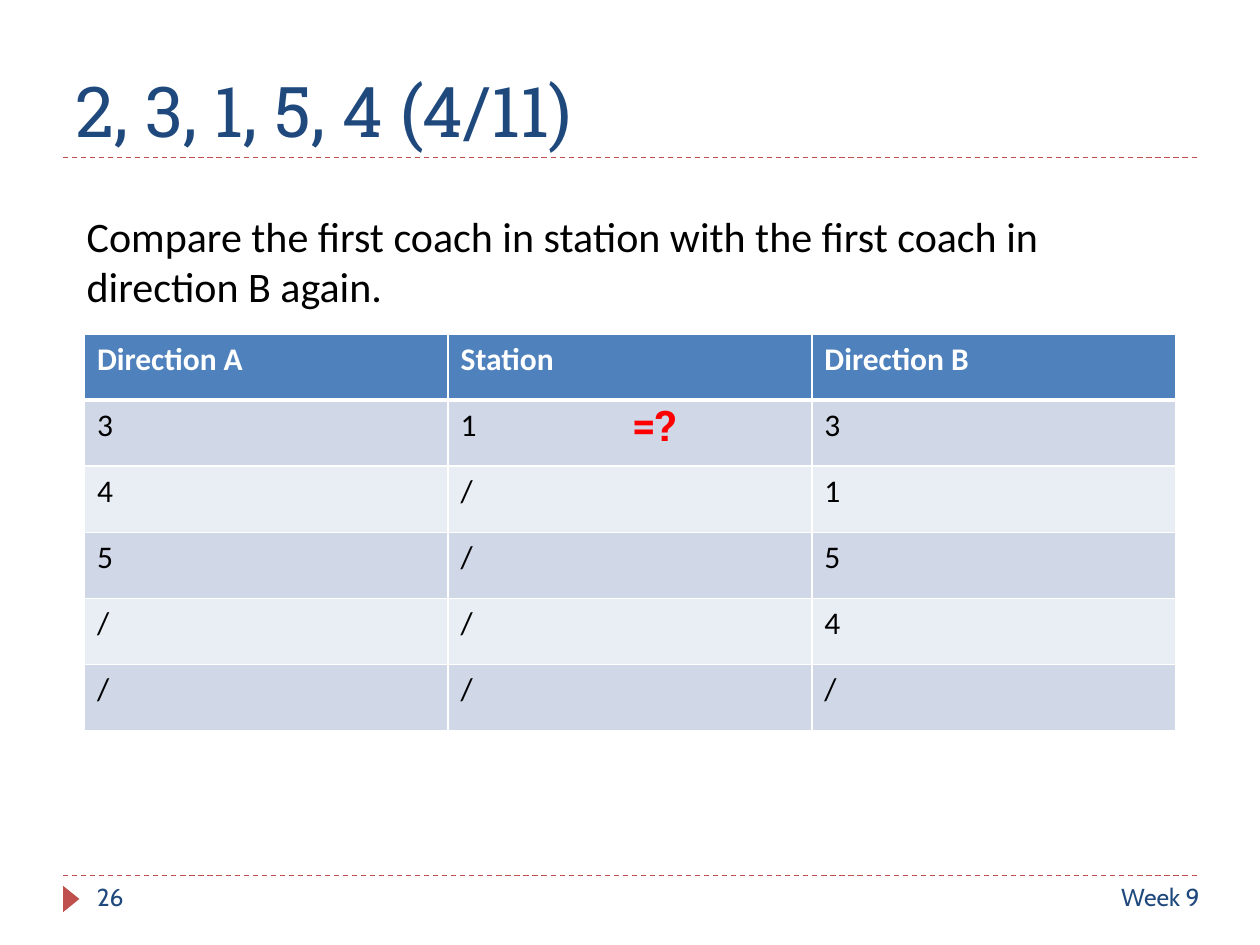
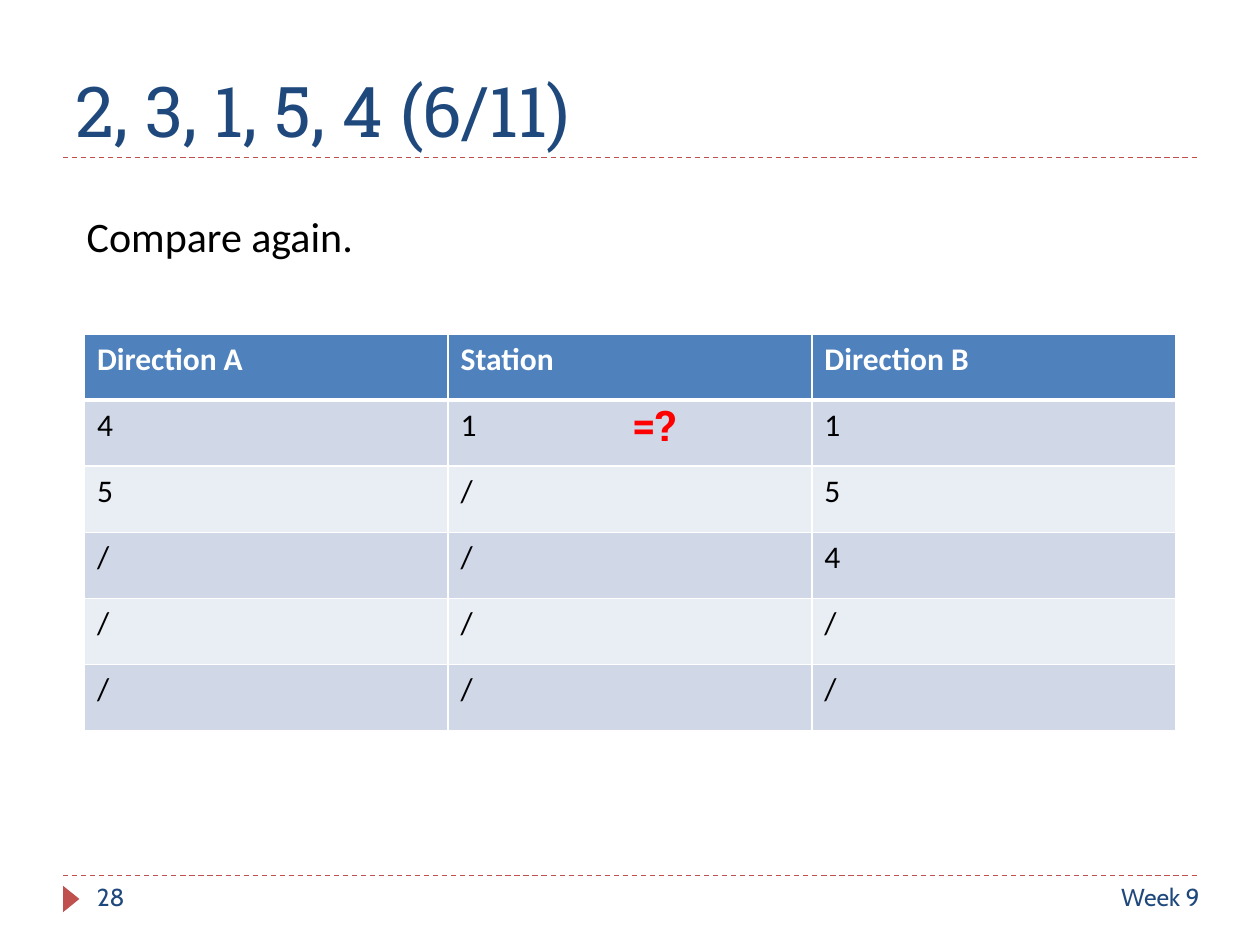
from dataclasses import dataclass

import pptx
import pptx.dml.color
import pptx.enum.dml
import pptx.enum.shapes
import pptx.enum.text
import pptx.oxml.ns
import pptx.util
from lxml import etree
from pptx.util import Inches

COLOURS = {
    "title": "1F497D", "accent": "C0504D", "header": "4F81BD",
    "odd": "D0D8E8", "even": "E9EDF4",
    "white": "FFFFFF", "ink": "000000", "question": "FF0000",
}
SLAB, SANS, FOOT = "Roboto Slab", "Calibri", "Cabin"
ALIGN = pptx.enum.text.PP_ALIGN
ANCHOR = pptx.enum.text.MSO_ANCHOR
HEADERS = ("Direction A", "Station", "Direction B")
TITLE_RULE_Y, FOOTER_RULE_Y = 1.25, 6.95


@dataclass
class Step:
    """One step of sorting the coaches; each row is A, station, B."""
    number: int
    page_number: int
    statement: list[str]
    statement_size: tuple[float, float]
    rows: list[str]


STEPS = [
    Step(4, 26,
         ["Compare the first coach in station with the first coach in",
          "direction B again."],
         (7.96, 1.31),
         ["3 1 3", "4 / 1", "5 / 5", "/ / 4", "/ / /"]),
    Step(6, 28, ["Compare again."], (2.33, 0.5),
         ["4 1 1", "5 / 5", "/ / 4", "/ / /", "/ / /"]),
]


def rgb(name: str):
    return pptx.dml.color.RGBColor.from_string(COLOURS[name])


def write(frame, *lines: str, font: str, size: float, colour: str,
          bold: bool = False, align=ALIGN.LEFT) -> None:
    """Fill a text frame with one paragraph per line."""
    for index, line in enumerate(lines):
        para = frame.paragraphs[0] if index == 0 else frame.add_paragraph()
        para.alignment = align
        span = para.add_run()
        span.text = line
        span.font.name = font
        span.font.size = pptx.util.Pt(size)
        span.font.bold = bold
        span.font.color.rgb = rgb(colour)


def add_text(page, *lines: str, left: float, top: float, width: float,
             height: float, wrap: bool = True, **text_format) -> None:
    box = page.shapes.add_textbox(Inches(left), Inches(top),
                                  Inches(width), Inches(height))
    box.text_frame.word_wrap = wrap
    write(box.text_frame, *lines, **text_format)


def add_rule(page, y: float) -> None:
    """Draw a dashed rule between the page margins."""
    rule = page.shapes.add_connector(
        pptx.enum.shapes.MSO_CONNECTOR.STRAIGHT,
        Inches(0.5), Inches(y), Inches(9.5), Inches(y))
    rule.line.color.rgb = rgb("accent")
    rule.line.width = pptx.util.Pt(0.75)
    rule.line.dash_style = pptx.enum.dml.MSO_LINE.DASH
    etree.SubElement(rule._element.spPr, pptx.oxml.ns.qn("a:effectLst"))


def add_frame(page, step: Step) -> None:
    """Add the title, rules and footer that every page shares."""
    add_rule(page, FOOTER_RULE_Y)
    add_rule(page, TITLE_RULE_Y)

    # Footer marker, turned to point right
    marker = page.shapes.add_shape(
        pptx.enum.shapes.MSO_SHAPE.ISOSCELES_TRIANGLE,
        Inches(0.46), Inches(7.07), Inches(0.21), Inches(0.13))
    marker.rotation = 90
    marker.shadow.inherit = False
    marker.fill.solid()
    marker.fill.fore_color.rgb = rgb("accent")
    marker.line.fill.background()

    # Title
    title = page.shapes.title
    title.left, title.top = Inches(0.5), Inches(0.17)
    title.width, title.height = Inches(9), Inches(1.08)
    title.text_frame.auto_size = pptx.enum.text.MSO_AUTO_SIZE.NONE
    title.text_frame.vertical_anchor = ANCHOR.BOTTOM
    write(title.text_frame, f"2, 3, 1, 5, 4 ({step.number}/11)",
          font=SLAB, size=40, colour="title")

    # Footer texts
    footer = dict(top=FOOTER_RULE_Y, height=0.4, font=FOOT, size=14,
                  colour="title")
    add_text(page, str(step.page_number), left=0.67, width=2.17, **footer)
    add_text(page, "Week 9", left=5.79, width=3.83, align=ALIGN.RIGHT,
             **footer)


def set_borders(cell, **widths: float) -> None:
    """Give a cell white borders; widths in points by side (L, R, T, B)."""
    qn = pptx.oxml.ns.qn
    properties = cell._tc.get_or_add_tcPr()
    for side, width in widths.items():
        border = etree.SubElement(properties, qn(f"a:ln{side}"),
                                  w=str(pptx.util.Pt(width)))
        fill = etree.SubElement(border, qn("a:solidFill"))
        etree.SubElement(fill, qn("a:srgbClr"), val=COLOURS["white"])


def add_coach_table(page, rows: list[str]) -> None:
    grid = [HEADERS] + [row.split() for row in rows]
    table = page.shapes.add_table(
        len(grid), len(HEADERS), Inches(0.67), Inches(2.65),
        Inches(8.66), Inches(3.15)).table
    for row_index, values in enumerate(grid):
        is_header = row_index == 0
        band = "header" if is_header else "odd" if row_index % 2 else "even"
        for column_index, value in enumerate(values):
            cell = table.cell(row_index, column_index)
            set_borders(cell, L=1, R=1, T=3 if row_index == 1 else 1,
                        B=3 if is_header else 1)
            cell.fill.solid()
            cell.fill.fore_color.rgb = rgb(band)
            write(cell.text_frame, value, font=SANS, size=18, bold=is_header,
                  colour="white" if is_header else "ink")


def add_step(deck, step: Step) -> None:
    page = deck.slides.add_slide(deck.slide_layouts.get_by_name("Title Only"))
    add_frame(page, step)
    add_coach_table(page, step.rows)
    width, height = step.statement_size
    add_text(page, *step.statement, left=0.59, top=1.62, width=width,
             height=height, wrap=False, font=SANS, size=24, colour="ink")
    add_text(page, "=?", left=4.92, top=3.12, width=0.63, height=0.5,
             wrap=False, font=SLAB, size=24, colour="question", bold=True)


def main() -> None:
    deck = pptx.Presentation()
    deck.slide_width, deck.slide_height = Inches(10), Inches(7.5)
    for step in STEPS:
        add_step(deck, step)
    deck.save("out.pptx")


if __name__ == "__main__":
    main()
